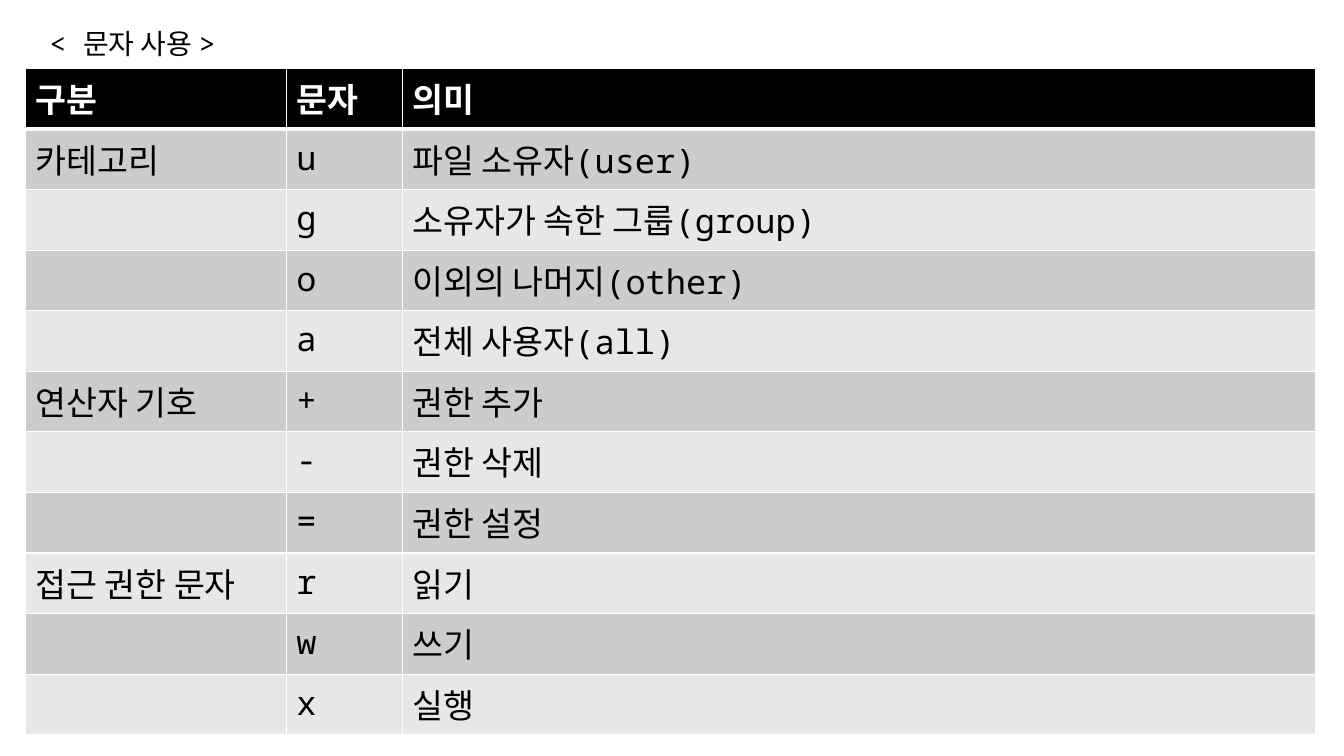
from lxml.etree import SubElement
from pptx import Presentation
from pptx.dml.color import RGBColor
from pptx.enum.text import MSO_ANCHOR as Anchor, MSO_AUTO_SIZE as Fit, PP_ALIGN as Align
from pptx.oxml.ns import qn
from pptx.util import Inches, Pt

FONT = "Noto Sans Mono"
WHITE, BLACK = "FFFFFF", "000000"
BANDS = "CCCCCC", "E7E7E7"
WIDTHS = 2.59, 1.15, 9.06
ROWS = [
    ("구분", "문자", "의미"),
    ("카테고리", "u", "파일 소유자(user)"),
    ("", "g", "소유자가 속한 그룹(group)"),
    ("", "o", "이외의 나머지(other)"),
    ("", "a", "전체 사용자(all)"),
    ("연산자 기호", "+", "권한 추가"),
    ("", "-", "권한 삭제"),
    ("", "=", "권한 설정"),
    ("접근 권한 문자", "r", "읽기"),
    ("", "w", "쓰기"),
    ("", "x", "실행"),
]


def color(code):
    return RGBColor.from_string(code)


def write(frame, text, size=24, ink=BLACK, bold=False):
    para = frame.paragraphs[0]
    para.alignment = Align.LEFT
    if not text:
        para.font.size = Pt(size)
        return
    run = para.add_run()
    run.text = text
    font = run.font
    font.name, font.size, font.bold = FONT, Pt(size), bold
    font.color.rgb = color(ink)


def border(cell, **widths):
    """Draw white cell borders; widths in points by side: L, R, T, B."""
    props = cell._tc.get_or_add_tcPr()
    for side, width in widths.items():
        line = SubElement(props, qn(f"a:ln{side}"), w=str(Pt(width)))
        fill = SubElement(line, qn("a:solidFill"))
        SubElement(fill, qn("a:srgbClr"), val=WHITE)


def add_title(slide, text):
    title = slide.shapes.title
    title.left, title.top = Inches(0.39), Inches(0.21)
    title.width, title.height = Inches(2.1), Inches(1.11)
    frame = title.text_frame
    frame.word_wrap = False
    frame.auto_size = Fit.NONE
    frame.vertical_anchor = Anchor.TOP
    write(frame, text, size=20)


def add_grid(slide, rows):
    frame = slide.shapes.add_table(
        len(rows), len(WIDTHS), Inches(0.25), Inches(0.68), Inches(12.8), Inches(6.61))
    table = frame.table
    for col, width in zip(table.columns, WIDTHS):
        col.width = Inches(width)
    for r, row in enumerate(rows):
        head = r == 0
        for c, text in enumerate(row):
            cell = table.cell(r, c)
            border(cell, L=1, R=1, T=3 if r == 1 else 1, B=3 if head else 1)
            cell.fill.solid()
            cell.fill.fore_color.rgb = color(BLACK if head else BANDS[(r - 1) % 2])
            write(cell.text_frame, text, ink=WHITE if head else BLACK, bold=head)


def main():
    deck = Presentation()
    deck.slide_width, deck.slide_height = Inches(13.33), Inches(7.5)
    slide = deck.slides.add_slide(deck.slide_layouts.get_by_name("Title Only"))
    add_title(slide, "< 문자 사용 >")
    add_grid(slide, ROWS)
    deck.save("out.pptx")


if __name__ == "__main__":
    main()
